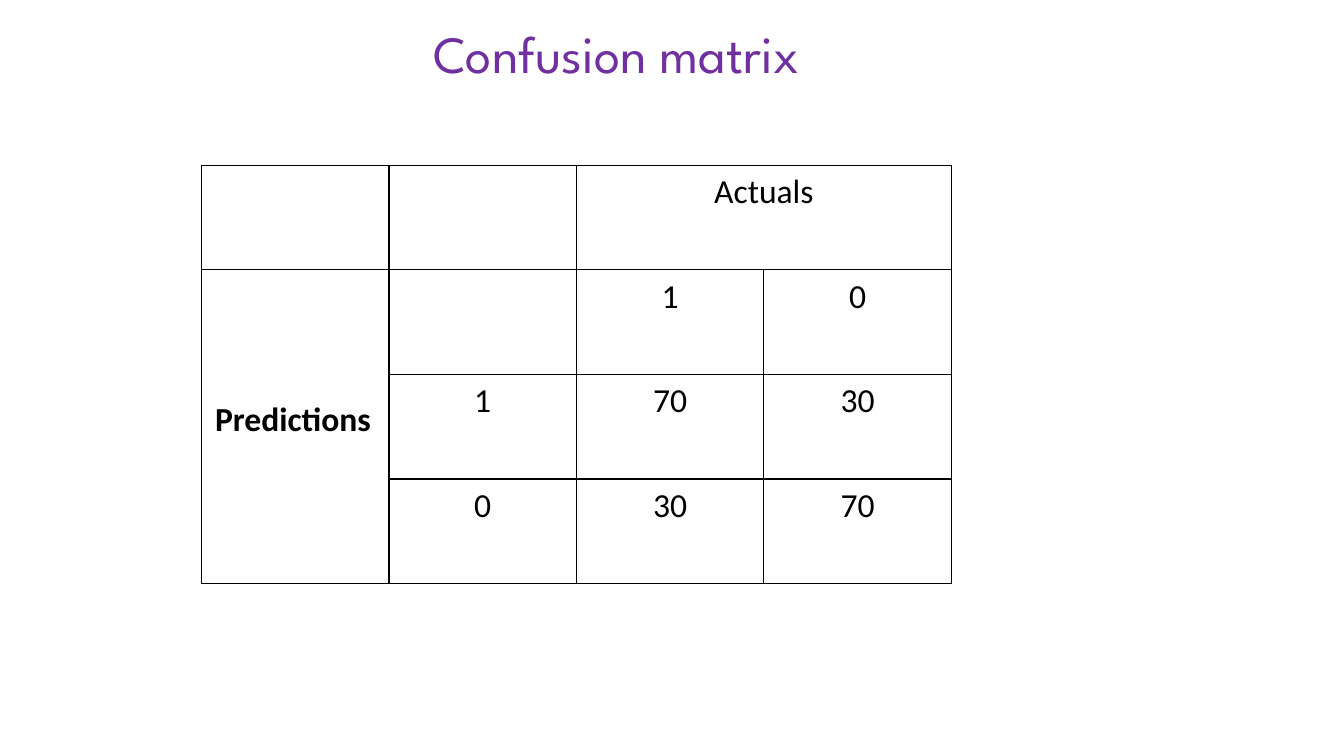
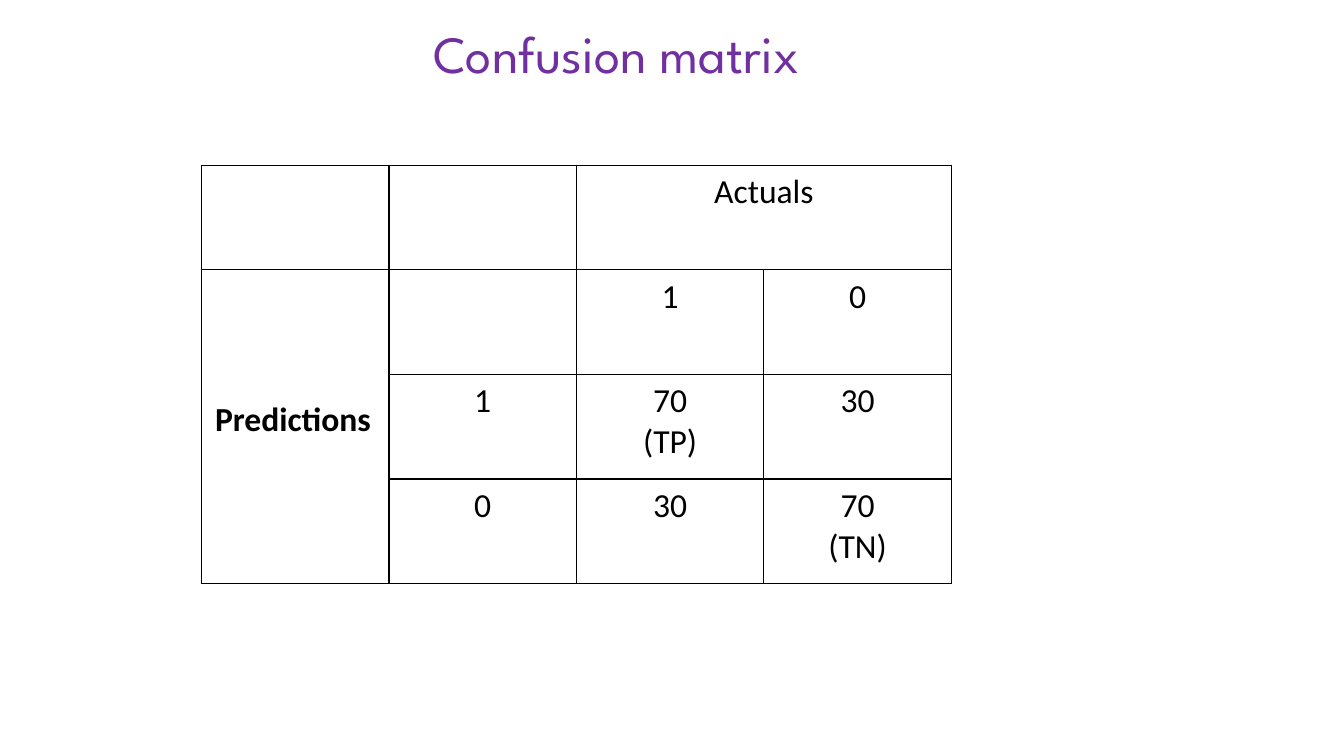
from lxml.etree import SubElement
from pptx import Presentation
from pptx.dml.color import RGBColor
from pptx.enum.text import MSO_ANCHOR as Anchor, PP_ALIGN as Align
from pptx.oxml.ns import qn
from pptx.util import Pt

COLORS = {"title": "7030A0", "text": "000000", "border": "000000", "cell": "FFFFFF"}
COLUMN_WIDTH, ROW_HEIGHT = 133.9, 74.7


class Deck:
    """Builds confusion matrix slides in one shared style."""

    def __init__(self):
        self.presentation = Presentation()
        self.presentation.slide_width = Pt(960)
        self.presentation.slide_height = Pt(540)
        self.slide = None

    def add_slide(self):
        self.slide = self.presentation.slides.add_slide(self.presentation.slide_layouts[6])

    def set_margins(self, box):
        box.margin_left = box.margin_right = Pt(9.6)
        box.margin_top = box.margin_bottom = Pt(4.8)

    def set_text(self, frame, text, font, size, color, align=Align.CENTER, bold=False):
        frame.text = text
        for paragraph in frame.paragraphs:
            paragraph.alignment = align
            paragraph.font.name = font
            paragraph.font.size = Pt(size)
            paragraph.font.bold = bold
            paragraph.font.color.rgb = RGBColor.from_string(COLORS[color])

    def title(self, text):
        frame = self.slide.shapes.add_textbox(Pt(256.3), Pt(13.7), Pt(368), Pt(48.2)).text_frame
        frame.word_wrap = True
        frame.vertical_anchor = Anchor.MIDDLE
        self.set_margins(frame)
        self.set_text(frame, text, "League Spartan", 37.3, "title")

    def style_cell(self, cell):
        self.set_margins(cell)
        properties = cell._tc.get_or_add_tcPr()
        for side in ("a:lnL", "a:lnR", "a:lnT", "a:lnB"):
            line = SubElement(properties, qn(side), w=str(Pt(1)))
            fill = SubElement(line, qn("a:solidFill"))
            SubElement(fill, qn("a:srgbClr"), val=COLORS["border"])
        cell.fill.solid()
        cell.fill.fore_color.rgb = RGBColor.from_string(COLORS["cell"])

    def matrix(self, counts):
        rows = [["", "", "Actuals", ""], ["Predictions", "", "1", "0"],
                ["", "1", *counts[0]], ["", "0", *counts[1]]]
        size = len(rows)
        table = self.slide.shapes.add_table(
            size, size, Pt(144), Pt(118), Pt(size * COLUMN_WIDTH), Pt(size * ROW_HEIGHT)).table
        table.first_row = table.horz_banding = False
        for column in table.columns:
            column.width = Pt(COLUMN_WIDTH)
        for row, texts in zip(table.rows, rows):
            row.height = Pt(ROW_HEIGHT)
            for cell, text in zip(row.cells, texts):
                self.style_cell(cell)
                self.set_text(cell.text_frame, text, "Calibri", 24, "text")
        table.cell(0, 2).merge(table.cell(0, 3))
        predictions = table.cell(1, 0)
        predictions.merge(table.cell(3, 0))
        predictions.vertical_anchor = Anchor.MIDDLE
        predictions.margin_bottom = Pt(14)
        self.set_text(predictions.text_frame, rows[1][0], "Calibri", 24, "text", Align.JUSTIFY, True)


def main():
    deck = Deck()
    for counts in ([("70", "30"), ("30", "70")],
                   [("70\n(TP)", "30"), ("30", "70\n(TN)")]):
        deck.add_slide()
        deck.matrix(counts)
        deck.title("Confusion matrix")
    deck.presentation.save("out.pptx")


if __name__ == "__main__":
    main()
